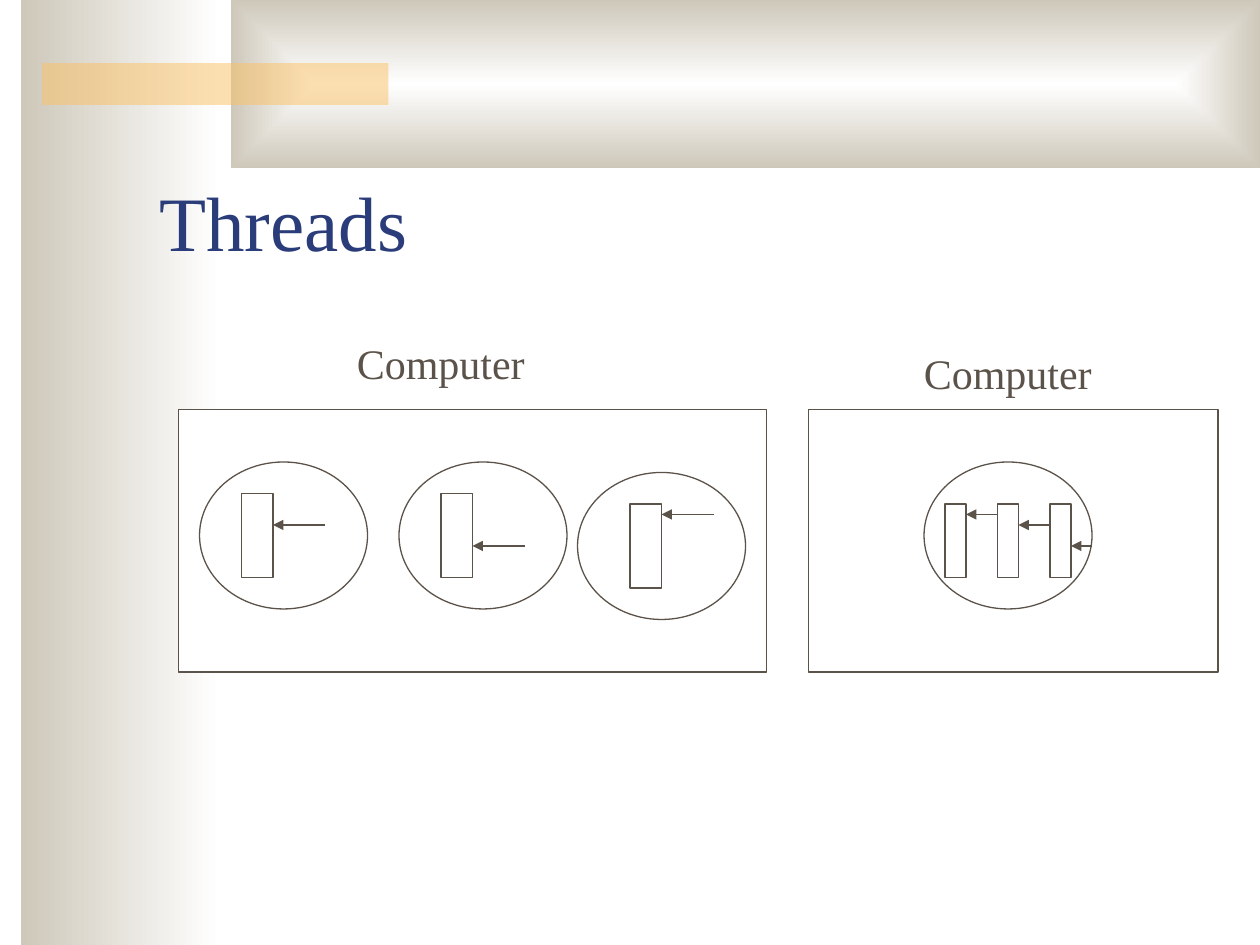
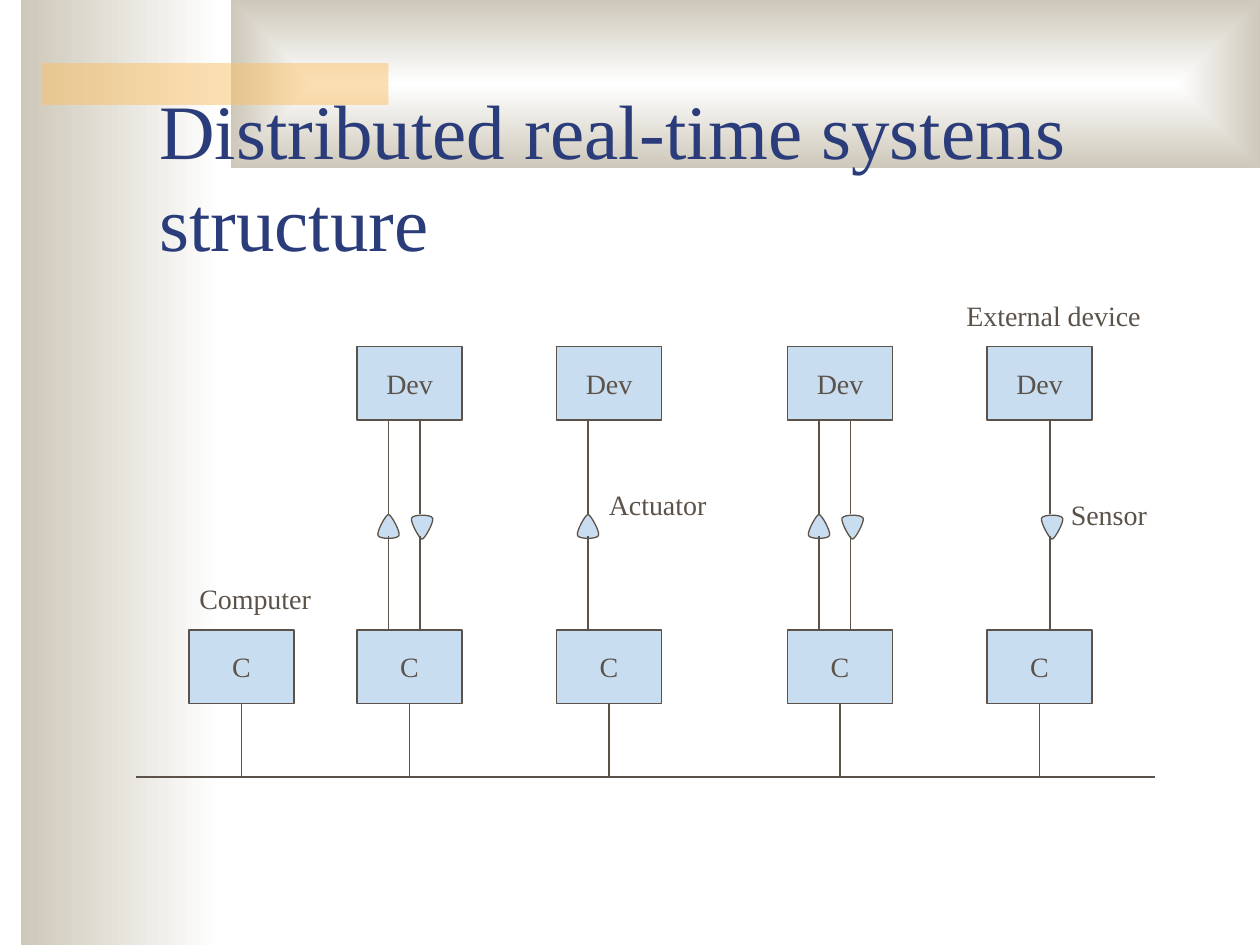
from pptx import Presentation
from pptx.dml.color import RGBColor
from pptx.enum.shapes import MSO_CONNECTOR, MSO_SHAPE
from pptx.enum.text import MSO_ANCHOR, PP_ALIGN
from pptx.oxml.ns import qn
from pptx.util import Cm, Pt
from lxml import etree

RECT, OVAL = MSO_SHAPE.RECTANGLE, MSO_SHAPE.FLOWCHART_CONNECTOR
LINE = MSO_CONNECTOR.STRAIGHT
TOP, MIDDLE, BOTTOM = MSO_ANCHOR.TOP, MSO_ANCHOR.MIDDLE, MSO_ANCHOR.BOTTOM
LEFT, CENTER = PP_ALIGN.LEFT, PP_ALIGN.CENTER

WHITE = RGBColor(0xFF, 0xFF, 0xFF)
SAND = RGBColor(0xCE, 0xC8, 0xBA)
GOLD = RGBColor(0xFA, 0xC1, 0x64)
NAVY = RGBColor(0x2A, 0x3D, 0x7A)
BROWN = RGBColor(0x5B, 0x52, 0x49)
SKY = RGBColor(0xC9, 0xDD, 0xF1)
FONT = "Times New Roman"

# All places below count grid steps, twelve to 2.54 cm
STEP = Cm(2.54) / 12

# Content: threads
THREADS = "Threads"
HOSTS = [(17, 39, 56, 25), (77, 39, 39, 25)]
OVAL_SIZE = (16, 14)
SINGLES = [  # oval corner, bar corner, arrow height
    ((19, 44), (23, 47), 50),
    ((38, 44), (42, 47), 52),
    ((55, 45), (60, 48), 49),
]
SHARED = (88, 44)
BARS_X, BARS_Y = [90, 95, 100], 48
HEIGHTS = [49, 50, 52]
HOST_TAGS = [("Computer", 32.8, 31.6, 18.4, 6), ("Computer", 86.8, 32.55, 18.4, 6)]

# Content: distributed system
SYSTEM = "Distributed real-time systems structure"
BOX_SIZE = (10, 7)
DEV_Y, COMP_Y, BUS_Y = 33, 60, 74
BUS_X = (13, 110)
NODES = [  # box left, actuator wires, sensor wires
    (18, [], []),
    (34, [37], [40]),
    (53, [56], []),
    (75, [78], [81]),
    (94, [], [100]),
]
GATE_Y = (49, 51)
GATE = [  # apex, then two handles and an end for each curve
    (0, 0),
    (-0.25, 0), (-1.15, 1.65), (-1, 2),
    (-0.85, 2.37), (0.85, 2.37), (1, 2),
    (1.15, 1.65), (0.25, 0), (0, 0),
]
TAGS = [
    ("External device", 90.85, 27.8, 19, 4.4),
    ("Sensor", 100.8, 46.8, 9.65, 4.4),
    ("Computer", 17.8, 54.8, 13, 4.4),
    ("Actuator", 56.8, 45.8, 11.8, 4.4),
]


def grid(*nums):
    return [round(n * STEP) for n in nums]


def paint(shape, fill, line=BROWN):
    shape.shadow.inherit = False
    shape.fill.solid()
    shape.fill.fore_color.rgb = fill
    if line is None:
        shape.line.fill.background()
    else:
        shape.line.color.rgb = line
        shape.line.width = Pt(0.75)


def block(slide, kind, place, fill, line=BROWN):
    shape = slide.shapes.add_shape(kind, *grid(*place))
    paint(shape, fill, line)
    return shape


def write(shape, text, size, color=BROWN, anchor=TOP, align=LEFT, wrap=False):
    frame = shape.text_frame
    frame.word_wrap = wrap
    frame.vertical_anchor = anchor
    para = frame.paragraphs[0]
    para.alignment = align
    run = para.add_run()
    run.text = text
    run.font.name = FONT
    run.font.size = Pt(size)
    run.font.color.rgb = color


def label(slide, text, place, size):
    write(slide.shapes.add_textbox(*grid(*place)), text, size)


def wire(slide, start, end, arrow=False):
    link = slide.shapes.add_connector(LINE, *grid(*start, *end))
    link.line.color.rgb = BROWN
    link.line.width = Pt(0.75)
    props = link._element.spPr
    if arrow:
        etree.SubElement(props.find(qn("a:ln")), qn("a:tailEnd"), type="triangle")
    etree.SubElement(props, qn("a:effectLst"))
    return link


def fade(shape):
    shape.fill.gradient()
    shape.fill.gradient_angle = 180
    for stop, color in zip(shape.fill.gradient_stops, (WHITE, SAND)):
        stop.color.rgb = color


def base(deck, title):
    slide = deck.slides.add_slide(deck.slide_layouts[6])
    # Side band, fading to the right
    fade(block(slide, RECT, (2, 0, 19, 90), WHITE, None))
    # Top band, fading to its centre
    band = block(slide, RECT, (22, 0, 98, 16), WHITE, None)
    fade(band)
    lin = band._element.spPr.find(".//" + qn("a:lin"))
    ring = etree.Element(qn("a:path"), attrib={"path": "rect"})
    etree.SubElement(ring, qn("a:fillToRect"), l="50000", t="50000", r="50000", b="50000")
    lin.getparent().replace(lin, ring)
    # Half-clear gold bar
    bar = block(slide, RECT, (4, 6, 33, 4), GOLD, None)
    tint = bar._element.spPr.find(".//" + qn("a:srgbClr"))
    etree.SubElement(tint, qn("a:alpha"), val="50000")
    # Title
    box = slide.shapes.add_textbox(*grid(14, 11, 102, 15))
    write(box, title, 44, NAVY, BOTTOM, wrap=True)
    return slide


def gate(slide, x, down):
    if down:
        points = [grid(x + 0.2 + px, GATE_Y[0] + 2.35 - py) for px, py in GATE]
    else:
        points = [grid(x + px, GATE_Y[0] + py) for px, py in GATE]
    outline = slide.shapes.build_freeform(*points[0])
    outline.add_line_segments(points[1:], close=True)
    shape = outline.convert_to_shape()
    # Turn each three straight pieces into one curve
    pieces = shape._element.spPr.findall(".//" + qn("a:lnTo"))
    for i in range(0, len(pieces), 3):
        curve = etree.Element(qn("a:cubicBezTo"))
        pieces[i].addprevious(curve)
        for piece in pieces[i:i + 3]:
            curve.append(piece[0])
            piece.getparent().remove(piece)
    paint(shape, SKY)


def threads(deck):
    slide = base(deck, THREADS)
    for host in HOSTS:
        block(slide, RECT, host, WHITE)
    # One thread in each process
    for oval, (x, y), tip in SINGLES:
        block(slide, OVAL, (*oval, *OVAL_SIZE), WHITE)
        block(slide, RECT, (x, y, 3, 8), WHITE)
        wire(slide, (x + 8, tip), (x + 3, tip), True)
    # Several threads in one process
    block(slide, OVAL, (*SHARED, *OVAL_SIZE), WHITE)
    for x in BARS_X:
        block(slide, RECT, (x, BARS_Y, 2, 7), WHITE)
    starts = BARS_X[1:] + [SHARED[0] + OVAL_SIZE[0]]
    for x, start, y in zip(BARS_X, starts, HEIGHTS):
        wire(slide, (start, y), (x + 2, y), True)
    for text, *place in HOST_TAGS:
        label(slide, text, place, 24)


def system(deck):
    slide = base(deck, SYSTEM)
    wide, high = BOX_SIZE
    for x, acts, senses in NODES:
        # Computer with its drop to the bus
        comp = block(slide, RECT, (x, COMP_Y, *BOX_SIZE), SKY)
        write(comp, "C", 16, anchor=MIDDLE, align=CENTER)
        mid = x + wide / 2
        drop = wire(slide, (mid, COMP_Y + high), (mid, BUS_Y))
        drop.begin_connect(comp, 2)
        # Device with its actuators and sensors
        if acts or senses:
            dev = block(slide, RECT, (x, DEV_Y, *BOX_SIZE), SKY)
            write(dev, "Dev", 16, anchor=MIDDLE, align=CENTER)
        for pin in acts + senses:
            gate(slide, pin, pin in senses)
            wire(slide, (pin, DEV_Y + high), (pin, GATE_Y[0]))
            wire(slide, (pin, GATE_Y[1]), (pin, COMP_Y))
    wire(slide, (BUS_X[0], BUS_Y), (BUS_X[1], BUS_Y))
    for text, *place in TAGS:
        label(slide, text, place, 16)


def main():
    deck = Presentation()
    deck.slide_width, deck.slide_height = Cm(25.4), Cm(19.05)
    threads(deck)
    system(deck)
    deck.save("out.pptx")


if __name__ == "__main__":
    main()
